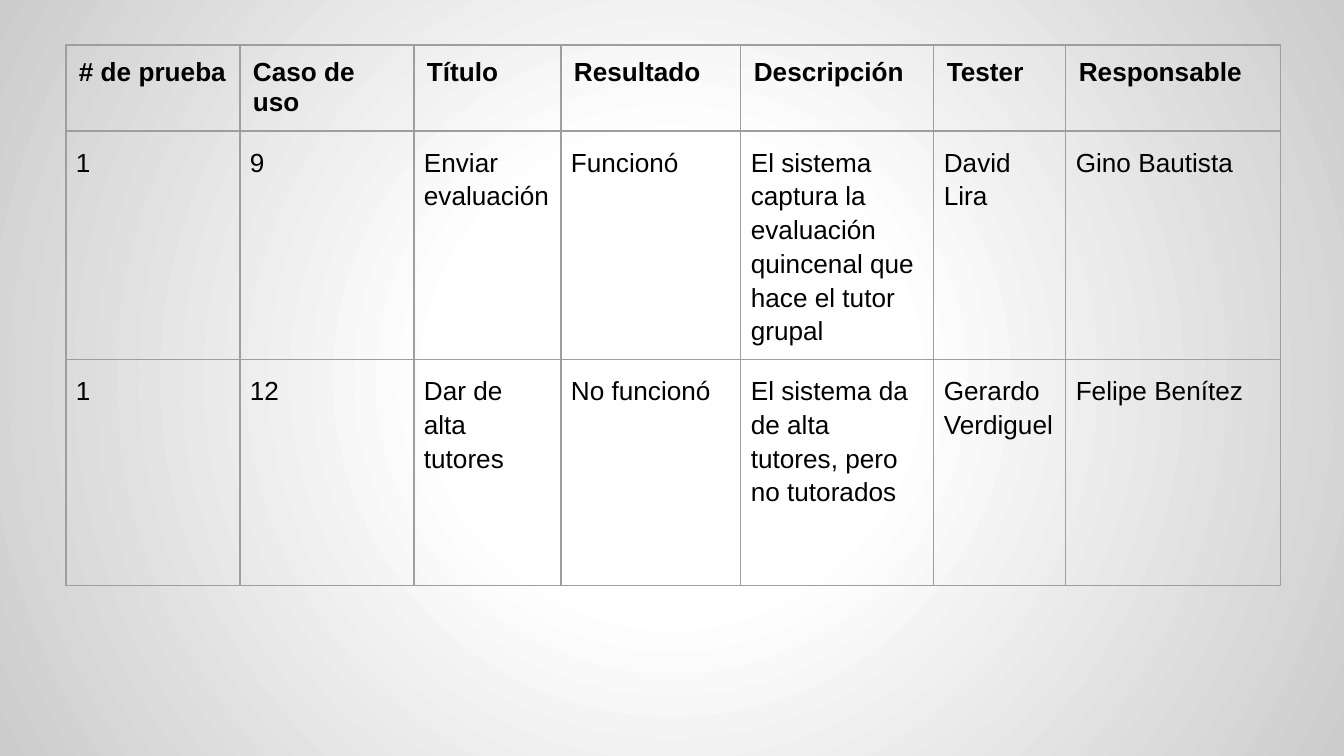
"""Build a slide with a table of test results over a radial grey background."""
from lxml import etree
from pptx import Presentation
from pptx.dml.color import RGBColor
from pptx.oxml import parse_xml
from pptx.oxml.ns import nsdecls, qn
from pptx.util import Emu, Pt

COLORS = {"text": "000000", "border": "9E9E9E", "center": "FFFFFF", "edge": "CCCCCC"}
COLUMNS = [174, 174, 147, 180, 193, 132, 215]
ROW_HEIGHTS = [86, 226, 226]
TESTS = [
    ["# de prueba", "Caso de uso", "Título", "Resultado", "Descripción", "Tester", "Responsable"],
    ["1", "9", "Enviar evaluación", "Funcionó",
     "El sistema captura la evaluación quincenal que hace el tutor grupal",
     "David Lira", "Gino Bautista"],
    ["1", "12", "Dar de alta tutores", "No funcionó",
     "El sistema da de alta tutores, pero no tutorados",
     "Gerardo Verdiguel", "Felipe Benítez"],
]


def px(n):
    return Emu(round(n * 914400 / 134.4))


class Deck:
    def __init__(self, width, height, font="Arial", size=14):
        self.prs = Presentation()
        self.prs.slide_width, self.prs.slide_height = px(width), px(height)
        self.s = self.prs.slides.add_slide(self.prs.slide_layouts[6])
        self.font, self.size = font, size

    def background(self, stops):
        gs = "".join(f'<a:gs pos="{pos * 1000}"><a:srgbClr val="{COLORS[name]}"/></a:gs>'
                     for pos, name in stops)
        grad = parse_xml(
            f'<a:gradFill {nsdecls("a")} rotWithShape="1"><a:gsLst>{gs}</a:gsLst>'
            '<a:path path="circle"><a:fillToRect l="50000" t="50000" r="50000" b="50000"/>'
            '</a:path></a:gradFill>')
        self.s.background.fill.background()
        no_fill = self.s.element.find(".//" + qn("p:bgPr")).find(qn("a:noFill"))
        no_fill.getparent().replace(no_fill, grad)

    def borders(self, cell):
        tcPr = cell._tc.get_or_add_tcPr()
        for i, side in enumerate("LRTB"):
            ln = etree.Element(qn(f"a:ln{side}"), w=str(Pt(0.75)))
            fill = etree.SubElement(ln, qn("a:solidFill"))
            etree.SubElement(fill, qn("a:srgbClr"), val=COLORS["border"])
            tcPr.insert(i, ln)

    def cell(self, cell, text, header):
        cell.text = text
        cell.margin_left = cell.margin_right = px(13 if header else 10)
        cell.margin_top = cell.margin_bottom = px(13)
        cell.fill.background()
        self.borders(cell)
        p = cell.text_frame.paragraphs[0]
        if not header:
            p.line_spacing = 1.15
        p.font.name, p.font.size, p.font.bold = self.font, Pt(self.size), header
        p.font.color.rgb = RGBColor.from_string(COLORS["text"])

    def table(self, x, y, columns, heights, rows):
        shape = self.s.shapes.add_table(len(rows), len(columns), px(x), px(y),
                                        px(sum(columns)), px(sum(heights)))
        table = shape.table
        table.first_row = table.horz_banding = False
        for column, width in zip(table.columns, columns):
            column.width = px(width)
        for i, (row, height) in enumerate(zip(rows, heights)):
            table.rows[i].height = px(height)
            for j, text in enumerate(row):
                self.cell(table.cell(i, j), text, header=i == 0)


def main():
    deck = Deck(1344, 756)
    deck.background([(0, "center"), (30, "center"), (100, "edge")])
    deck.table(66, 45, COLUMNS, ROW_HEIGHTS, TESTS)
    deck.prs.save("out.pptx")


if __name__ == "__main__":
    main()
